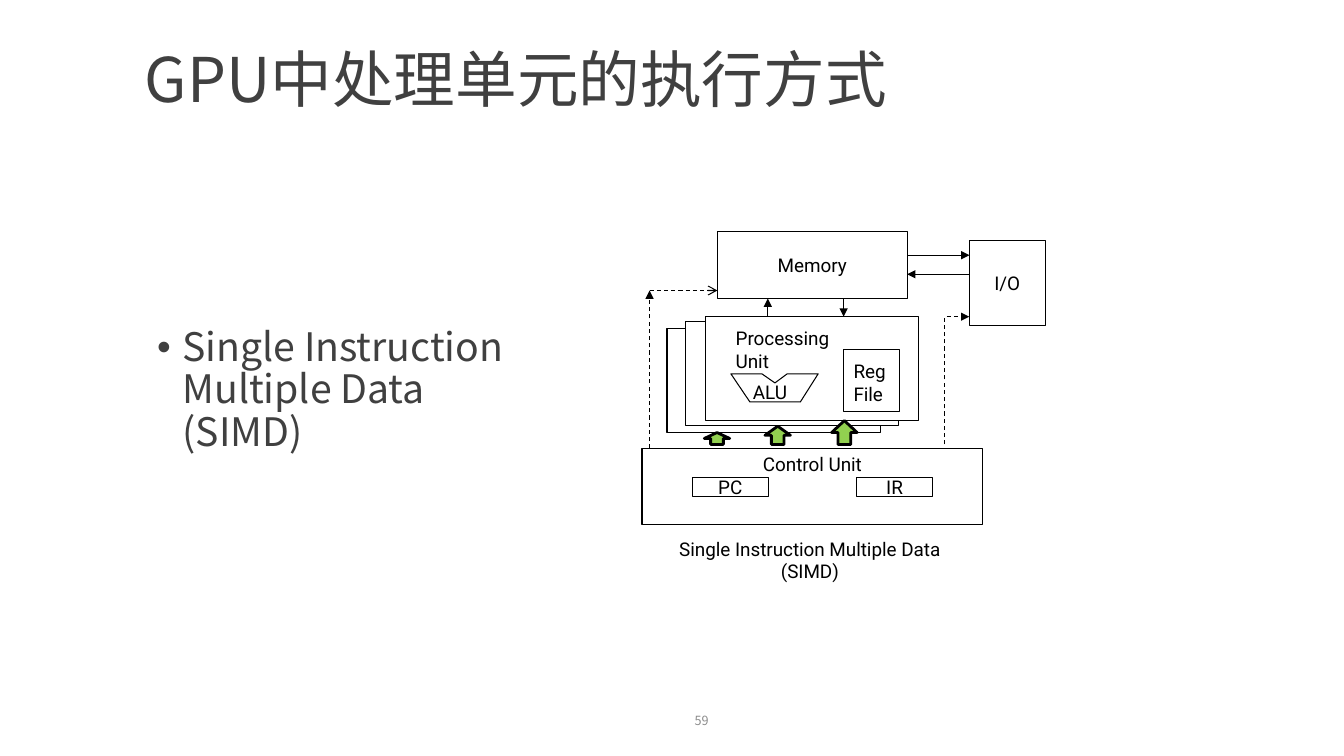
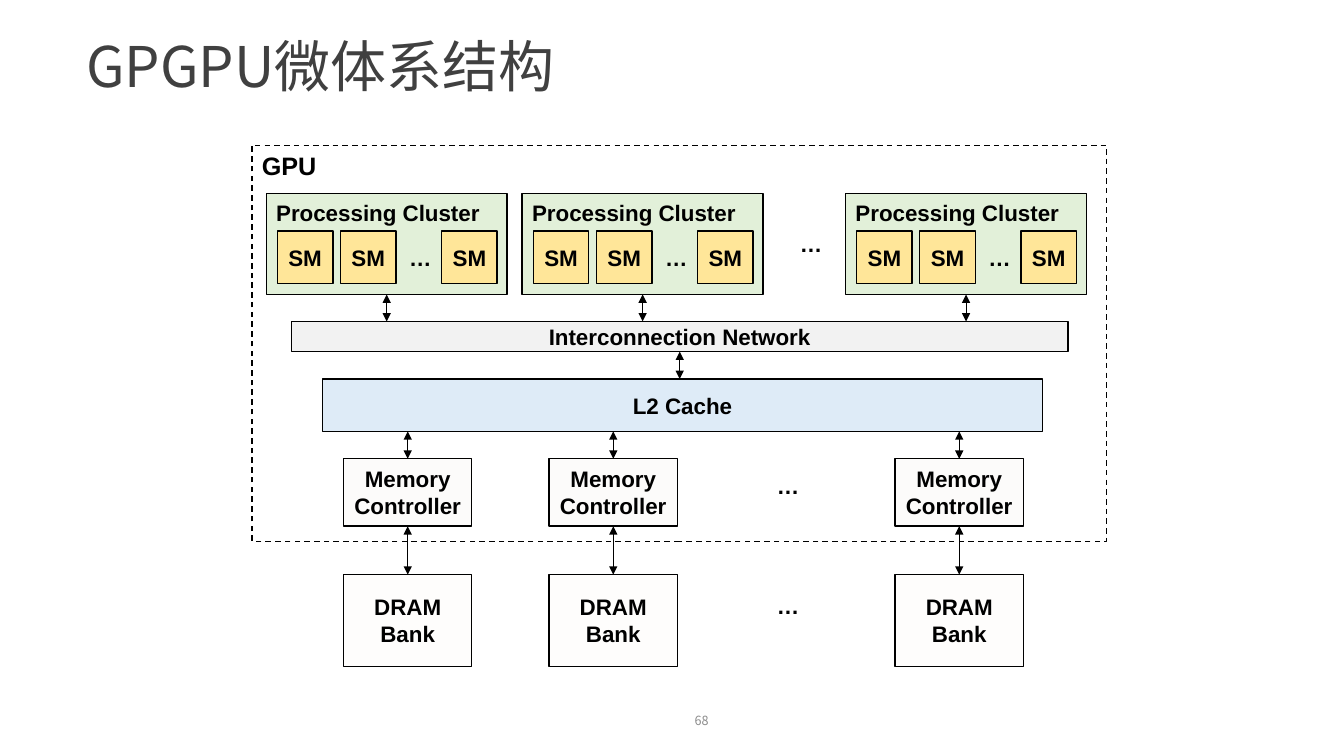
from pptx import Presentation
from pptx import util as u
from pptx.dml.color import RGBColor
from pptx.enum import dml, shapes, text
from pptx.oxml import ns
from lxml import etree

BLACK = RGBColor(0x00, 0x00, 0x00)
WHITE = RGBColor(0xFF, 0xFF, 0xFF)
DARK_GREY = RGBColor(0x40, 0x40, 0x40)
NUMBER_GREY = RGBColor(0x8C, 0x8C, 0x8C)
ARROW_GREEN = RGBColor(0x92, 0xD0, 0x50)
CLUSTER_GREEN = RGBColor(0xE2, 0xF0, 0xD9)
SM_YELLOW = RGBColor(0xFF, 0xE6, 0x99)
NETWORK_GREY = RGBColor(0xF2, 0xF2, 0xF2)
CACHE_BLUE = RGBColor(0xDE, 0xEB, 0xF7)
CONTROLLER_WHITE = RGBColor(0xFC, 0xFB, 0xFA)
BANK_WHITE = RGBColor(0xFE, 0xFD, 0xFC)

CJK_FONT = "Noto Sans CJK SC"
BODY = {"name": CJK_FONT, "size": u.Pt(28), "color": DARK_GREY}
NUMBER = {"name": CJK_FONT, "size": u.Pt(9), "color": NUMBER_GREY}
LABEL = {"name": "Roboto", "size": u.Pt(13.5), "color": BLACK}
BOLD = {"name": "Arial", "size": u.Pt(16), "color": BLACK, "bold": True}
FRAME = {**BOLD, "size": u.Pt(18)}

RECTANGLE = shapes.MSO_SHAPE.RECTANGLE
LEFT, CENTER, RIGHT = text.PP_ALIGN.LEFT, text.PP_ALIGN.CENTER, text.PP_ALIGN.RIGHT
TOP, MIDDLE = text.MSO_ANCHOR.TOP, text.MSO_ANCHOR.MIDDLE


def set_values(target, values):
    for name, value in values.items():
        setattr(target, name, value)


def lengths(values):
    return [u.Cm(value) for value in values]


def add_child(parent, tag, **values):
    return etree.SubElement(parent, ns.qn(tag), values)


def style_font(span, style):
    for name, value in style.items():
        if name == "color":
            span.font.color.rgb = value
        else:
            setattr(span.font, name, value)
    add_child(span.font._element, "a:ea", typeface=style["name"])


def write(box, lines, style, align=CENTER, anchor=MIDDLE, inset=(0.25, 0.13, 0.25, 0.13),
          spacing=None, bullet=False):
    frame = box.text_frame
    left, top, right, bottom = lengths(inset)
    set_values(frame, {
        "word_wrap": True,
        "vertical_anchor": anchor,
        "margin_left": left,
        "margin_top": top,
        "margin_right": right,
        "margin_bottom": bottom,
    })
    for index, line in enumerate(lines.split("\n")):
        para = frame.add_paragraph() if index else frame.paragraphs[0]
        if bullet:
            properties = para._p.get_or_add_pPr()
            properties.set("marL", str(u.Cm(0.64)))
            properties.set("indent", str(u.Cm(-0.64)))
            add_child(properties, "a:buFont", typeface="Arial")
            add_child(properties, "a:buChar", char="•")
        set_values(para, {"alignment": align, "line_spacing": spacing})
        span = para.add_run()
        span.text = line
        style_font(span, style)


def add_text(page, place, lines, style, **layout):
    box = page.shapes.add_textbox(*lengths(place))
    write(box, lines, style, **layout)


def outline(shape, fill=None, width=0.75, dashed=False):
    shape.shadow.inherit = False
    if fill is None:
        shape.fill.background()
    else:
        shape.fill.solid()
        shape.fill.fore_color.rgb = fill
    style_line(shape.line, width, dashed)


def style_line(line, width, dashed):
    line.color.rgb = BLACK
    line.width = u.Pt(width)
    if dashed:
        line.dash_style = dml.MSO_LINE.DASH


def add_box(page, place, lines="", style=LABEL, kind=RECTANGLE, fill=None, width=0.75,
            dashed=False, **layout):
    box = page.shapes.add_shape(kind, *lengths(place))
    outline(box, fill, width, dashed)
    if lines:
        write(box, lines, style, **layout)


def add_arrow(page, points, width=0.75, dashed=False, tail="triangle", head=None):
    arrow = page.shapes.add_connector(shapes.MSO_CONNECTOR.STRAIGHT, *lengths(points))
    style_line(arrow.line, width, dashed)
    line = arrow.line._get_or_add_ln()
    if head:
        add_child(line, "a:headEnd", type=head)
    add_child(line, "a:tailEnd", type=tail)
    add_child(arrow._element.spPr, "a:effectLst")
    return arrow


def add_corner_arrow(page, start_x, start_y, end_x, end_y):
    rise, run = start_y - end_y, end_x - start_x
    middle_x, middle_y = (start_x + end_x) / 2, (start_y + end_y) / 2
    arrow = add_arrow(page, (middle_x - rise / 2, middle_y - run / 2,
                             middle_x + rise / 2, middle_y + run / 2), dashed=True)
    properties = arrow._element.spPr
    properties.find(ns.qn("a:xfrm")).set("rot", str(270 * 60000))
    properties.find(ns.qn("a:prstGeom")).set("prst", "bentConnector2")


def add_alu(page):
    points = [(18.42, 9.42), (19.2, 9.42), (19.53, 9.65), (19.84, 9.42),
              (20.62, 9.42), (20.17, 10.13), (18.9, 10.13)]
    points = [tuple(lengths(point)) for point in points]
    builder = page.shapes.build_freeform(*points[0])
    builder.add_line_segments(points[1:], close=True)
    alu = builder.convert_to_shape()
    outline(alu)
    write(alu, "ALU", LABEL, inset=(0, 0.2, 0.23, 0))


def add_page(deck, title, place, size, number):
    page = deck.slides.add_slide(deck.slide_layouts[6])
    add_text(page, place, title, {**BODY, "size": u.Pt(size)}, align=LEFT, spacing=0.9)
    add_text(page, (15.37, 17.65, 2.74, 1.02), number, NUMBER, align=RIGHT)
    return page


def add_simd_page(deck):
    page = add_page(deck, "GPU中处理单元的执行方式", (3.4, 0.91, 21.06, 2.34), 44, "59")
    add_text(page, (3.71, 8.13, 10.41, 4.14), "Single Instruction Multiple Data (SIMD)", BODY,
             align=LEFT, anchor=TOP, spacing=0.9, bullet=True)

    for left, top in ((16.81, 8.28), (17.27, 8.1), (17.78, 7.98)):
        add_box(page, (left, top, 5.38, 2.62), fill=WHITE)
    add_text(page, (18.29, 8.1, 3.3, 1.42), "Processing Unit", LABEL, align=LEFT, anchor=TOP)
    add_alu(page)
    add_box(page, (21.26, 8.81, 1.42, 1.55), "Reg\nFile", align=LEFT, anchor=TOP,
            inset=(0.25, 0.26, 0, 0))

    add_box(page, (18.08, 5.84, 4.78, 1.68), "Memory")
    add_box(page, (24.43, 6.07, 1.91, 2.13), "I/O")
    add_box(page, (16.18, 11.3, 8.59, 1.91), "Control Unit", anchor=TOP, inset=(0, 0.11, 0, 0))
    for left, name in ((17.45, "PC"), (21.59, "IR")):
        add_box(page, (left, 12.04, 1.91, 0.48), name, inset=(0, 0, 0, 0))

    for points in ((19.35, 7.98, 19.35, 7.52), (21.26, 7.52, 21.26, 7.98),
                   (22.86, 6.43, 24.43, 6.43), (24.43, 6.91, 22.86, 6.91)):
        add_arrow(page, points)
    add_arrow(page, (16.37, 11.3, 16.37, 7.32), dashed=True)
    add_arrow(page, (16.37, 7.32, 18.08, 7.32), dashed=True, tail="arrow")
    add_corner_arrow(page, 23.8, 11.2, 24.43, 7.98)

    for left, height in ((17.75, 0.3), (19.28, 0.46), (20.96, 0.6)):
        add_box(page, (left, 11.2 - height, 0.64, height), kind=shapes.MSO_SHAPE.UP_ARROW,
                fill=ARROW_GREEN, width=2)
    add_text(page, (16.74, 13.41, 7.34, 1.42), "Single Instruction Multiple Data\n(SIMD)", LABEL,
             anchor=TOP)


def add_block(page, place, lines, fill, side=0.25):
    add_box(page, place, lines, BOLD, fill=fill, width=1, inset=(side, 0, side, 0))


def add_dots(page, left, top):
    add_text(page, (left, top, 1.17, 0.94), "…", BOLD, align=LEFT, anchor=TOP)


def add_link(page, x, top, bottom):
    add_arrow(page, (x, top, x, bottom), width=0.5, head="triangle")


def add_cluster(page, left, top):
    add_box(page, (left, top, 6.07, 2.54), "Processing Cluster", BOLD, fill=CLUSTER_GREEN,
            width=1, align=LEFT, anchor=TOP)
    for offset in (0.28, 1.87, 4.42):
        add_block(page, (left + offset, top + 0.94, 1.4, 1.32), "SM", SM_YELLOW, side=0.1)
    add_dots(page, left + 3.35, top + 1.14)


def add_architecture_page(deck):
    page = add_page(deck, "GPGPU微体系结构", (1.93, 0.33, 14.68, 2.82), 40, "68")
    add_box(page, (6.35, 3.66, 21.54, 9.98), "GPU", FRAME, width=1, dashed=True, align=LEFT,
            anchor=TOP)

    add_block(page, (7.34, 8.1, 19.58, 0.76), "Interconnection Network", NETWORK_GREY)
    add_block(page, (8.13, 9.55, 18.14, 1.32), "L2 Cache", CACHE_BLUE)
    add_link(page, 17.13, 8.86, 9.55)

    for left in (6.71, 13.16, 21.31):
        add_cluster(page, left, 4.88)
        add_link(page, left + 6.07 / 2, 7.42, 8.1)
    add_dots(page, 19.91, 5.66)

    for left in (8.66, 13.84, 22.56):
        add_block(page, (left, 11.56, 3.23, 1.7), "Memory Controller", CONTROLLER_WHITE, side=0.2)
        add_block(page, (left, 14.48, 3.23, 2.31), "DRAM Bank", BANK_WHITE)
        add_link(page, left + 3.23 / 2, 10.87, 11.56)
        add_link(page, left + 3.23 / 2, 13.26, 14.48)
    for top in (11.76, 14.78):
        add_dots(page, 19.33, top)


def main():
    deck = Presentation()
    set_values(deck, {"slide_width": u.Cm(33.87), "slide_height": u.Cm(19.05)})
    add_simd_page(deck)
    add_architecture_page(deck)
    deck.save("out.pptx")


if __name__ == "__main__":
    main()
